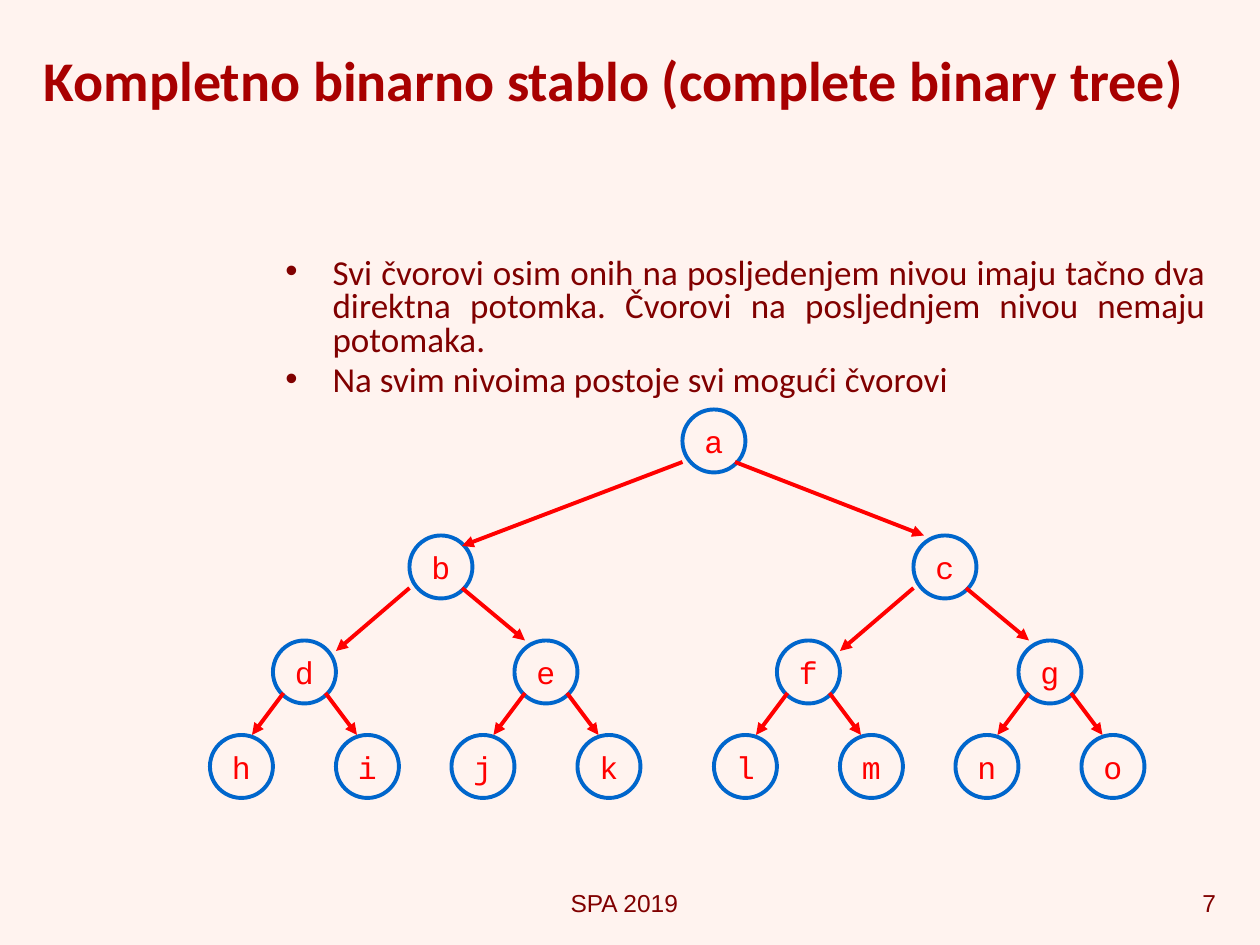
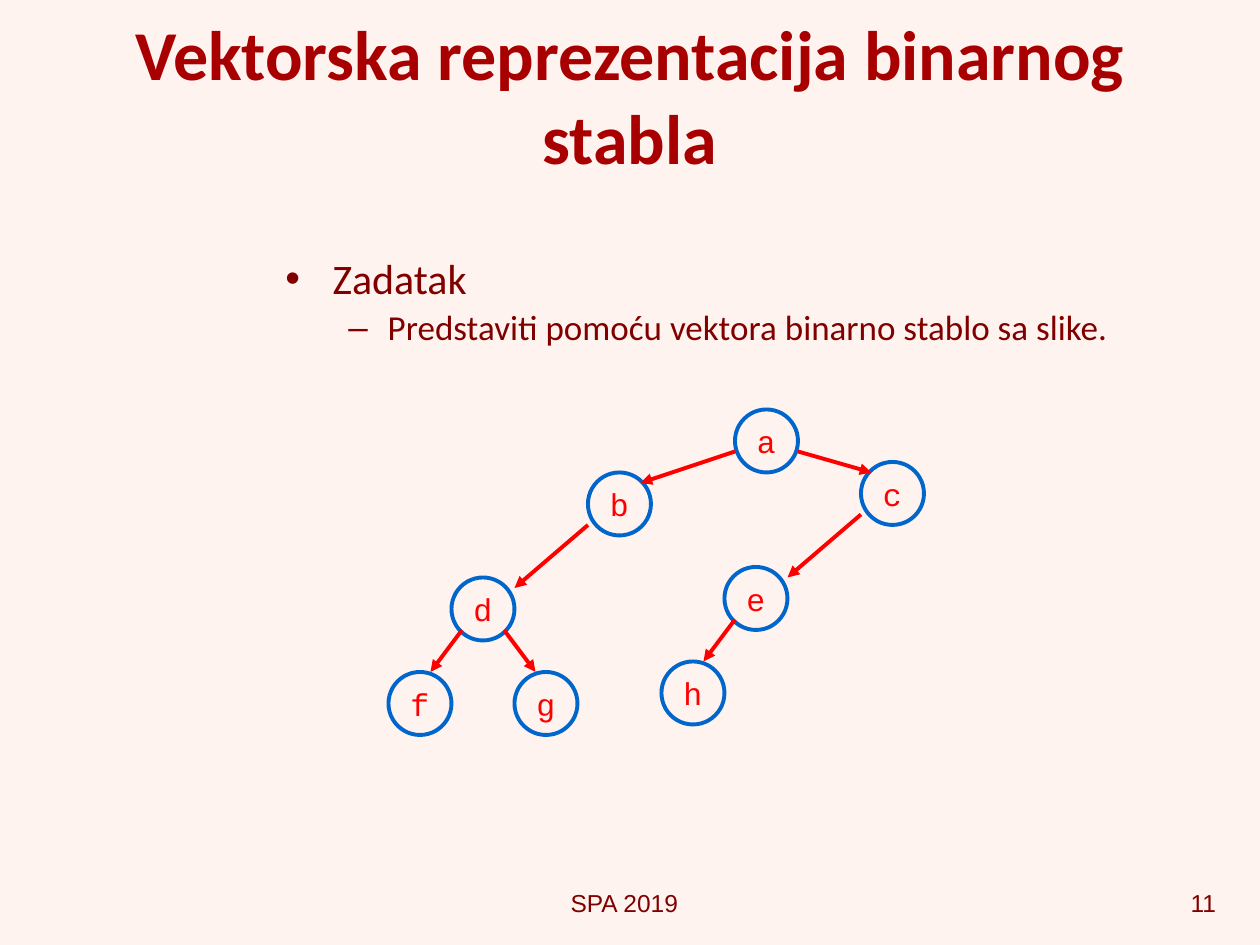
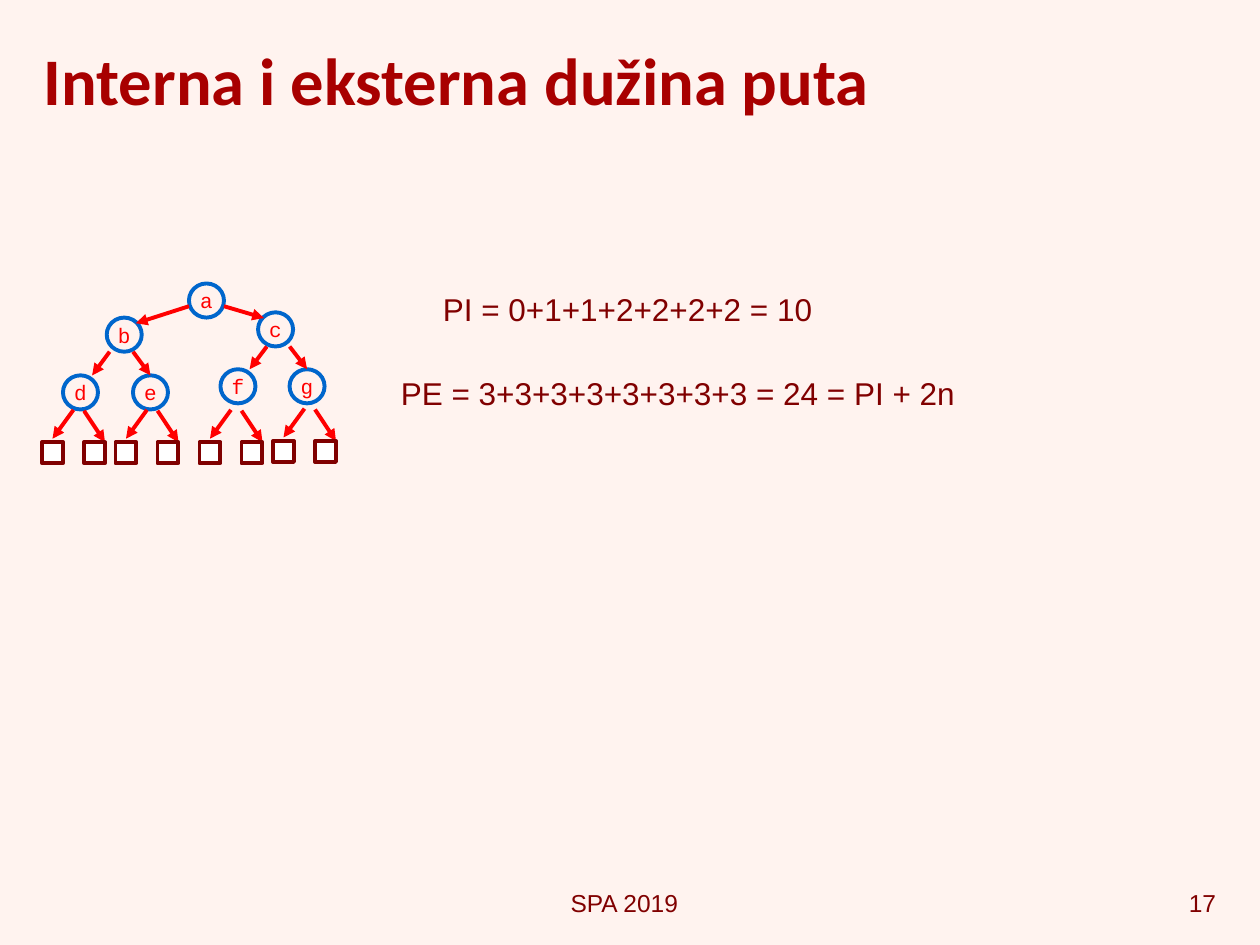
import pptx
import pptx.util
import pptx.dml.color
import pptx.enum.shapes
import pptx.enum.text
import pptx.oxml.ns
from lxml import etree

Pt = pptx.util.Pt
RGBColor = pptx.dml.color.RGBColor
Align = pptx.enum.text.PP_ALIGN
Anchor = pptx.enum.text.MSO_ANCHOR
AutoSize = pptx.enum.text.MSO_AUTO_SIZE
Preset = pptx.enum.shapes.MSO_SHAPE
Connector = pptx.enum.shapes.MSO_CONNECTOR
qn = pptx.oxml.ns.qn

CREAM = RGBColor(0xFF, 0xF3, 0xEF)
WHITE = RGBColor(0xFF, 0xFF, 0xFF)
CRIMSON = RGBColor(0xA8, 0x00, 0x00)
MAROON = RGBColor(0x80, 0x00, 0x00)
BLUE = RGBColor(0x00, 0x66, 0xCC)
RED = RGBColor(0xFF, 0x00, 0x00)

LINE_WIDTH = 2.25
GRID = 6  # points per step of the large trees

# Arrow start in the parent and end in the child, in sixths of a node
WIDE_LEFT = ((0, 5), (5, 1))
WIDE_RIGHT = ((5, 5), (1, 0))
MIDDLE_LEFT = ((0, 5), (6, 1))
LEAF_LEFT = ((1, 5), (4, 0))
LEAF_RIGHT = ((5, 5), (2, 0))
ROOT_LEFT = ((0, 4), (5, 1))
ROOT_RIGHT = ((6, 4), (1, 1))

# Bullet, left margin, hanging indent for each level
BULLETS = (("•", 27, -27), ("–", 58.5, -22.5))


class Lecture:
    """Holds the shared style and the slide being drawn."""

    def __init__(self):
        self.deck = pptx.Presentation()
        self.deck.slide_width = Pt(720)
        self.deck.slide_height = Pt(540)
        self.page = None

    def new_page(self, number, title, size, height=78, align=None):
        self.page = self.deck.slides.add_slide(self.deck.slide_layouts[6])
        self.page.background.fill.solid()
        self.page.background.fill.fore_color.rgb = CREAM
        self.text("SPA 2019", 269.3, 504, 175, 24, 14, align=Align.CENTER)
        self.text(str(number), 558, 504, 144, 24, 14, align=Align.RIGHT)
        frame = self.text(title, 18, 6, 684, height, size, "Calibri", CRIMSON, align)
        frame.vertical_anchor = Anchor.MIDDLE
        frame.paragraphs[0].font.bold = True

    def set_font(self, para, size, name="Arial", color=MAROON):
        para.font.size = Pt(size)
        para.font.name = name
        para.font.color.rgb = color

    def text(self, words, left, top, width, height, size,
             name="Arial", color=MAROON, align=None):
        box = self.page.shapes.add_textbox(Pt(left), Pt(top), Pt(width), Pt(height))
        frame = box.text_frame
        frame.word_wrap = True
        para = frame.paragraphs[0]
        para.text = words
        para.alignment = align
        self.set_font(para, size, name, color)
        return frame

    def formula(self, words, left, top, width):
        frame = self.text(words, left, top, width, 31, 18)
        frame.word_wrap = False
        frame.auto_size = AutoSize.SHAPE_TO_FIT_TEXT

    def bullets(self, items, height, spacing):
        """Items are (words, level, size, alignment)."""
        box = self.page.shapes.add_textbox(Pt(156), Pt(144), Pt(540), Pt(height))
        frame = box.text_frame
        frame.word_wrap = True
        for index, (words, level, size, align) in enumerate(items):
            para = frame.add_paragraph() if index else frame.paragraphs[0]
            para.text = words
            para.level = level
            para.alignment = align
            para.line_spacing = spacing
            if index:
                para.space_before = Pt(4)
            mark, margin, indent = BULLETS[level]
            properties = para._p.get_or_add_pPr()
            properties.set("marL", str(Pt(margin)))
            properties.set("indent", str(Pt(indent)))
            etree.SubElement(properties, qn("a:buFont")).set("typeface", "Arial")
            etree.SubElement(properties, qn("a:buChar")).set("char", mark)
            self.set_font(para, size, "Calibri")

    def shape(self, preset, left, top, width, height, fill, line):
        shape = self.page.shapes.add_shape(
            preset, Pt(left), Pt(top), Pt(width), Pt(height))
        shape.shadow.inherit = False
        shape.fill.solid()
        shape.fill.fore_color.rgb = fill
        shape.line.color.rgb = line
        shape.line.width = Pt(LINE_WIDTH)
        return shape

    def node(self, label, left, top, width, height, size):
        circle = self.shape(Preset.OVAL, left, top, width, height, CREAM, BLUE)
        frame = circle.text_frame
        frame.word_wrap = False
        frame.vertical_anchor = Anchor.MIDDLE
        para = frame.paragraphs[0]
        para.text = label
        para.alignment = Align.CENTER
        self.set_font(para, size, "Courier New", RED)

    def arrow(self, x1, y1, x2, y2):
        line = self.page.shapes.add_connector(
            Connector.STRAIGHT, Pt(x1), Pt(y1), Pt(x2), Pt(y2))
        line.line.color.rgb = RED
        line.line.width = Pt(LINE_WIDTH)
        etree.SubElement(line.line._get_or_add_ln(), qn("a:tailEnd")).set("type", "triangle")
        etree.SubElement(line._element.spPr, qn("a:effectLst"))

    def tree(self, nodes, edges, width=36, height=36, size=18, step=GRID):
        """Edges are (pairs of labels, arrow style); node places count steps."""
        for label, (column, row) in nodes.items():
            self.node(label, column * step, row * step, width, height, size)
        for pairs, (start, end) in edges:
            for pair in pairs.split():
                points = []
                for label, (across, down) in zip(pair, (start, end)):
                    column, row = nodes[label]
                    points += [column * step + across * width / 6,
                               row * step + down * height / 6]
                self.arrow(*points)

    def external_pair(self, left, top):
        """Two square external nodes with the arrows that lead to them."""
        self.arrow(left + 18, top - 18.5, left + 6, top - 2)
        self.arrow(left + 24, top - 18, left + 36, top)
        for square_left in (left, left + 24):
            self.shape(Preset.RECTANGLE, square_left, top, 12, 12, WHITE, MAROON)


def complete_tree(lecture):
    lecture.new_page(7, "Kompletno binarno stablo (complete binary tree)", 32)
    lecture.bullets([
        ("Svi čvorovi osim onih na posljedenjem nivou imaju tačno dva direktna "
         "potomka. Čvorovi na posljednjem nivou nemaju potomaka.", 0, 20, Align.JUSTIFY),
        ("Na svim nivoima postoje svi mogući čvorovi", 0, 20, None),
    ], 102, 0.8)
    # Each level: row and the columns of its nodes
    levels = (
        (39, {"a": 65}),
        (51, {"b": 39, "c": 87}),
        (61, {"d": 26, "e": 49, "f": 74, "g": 97}),
        (70, {"h": 20, "i": 32, "j": 43, "k": 55, "l": 68, "m": 80, "n": 91, "o": 103}),
    )
    nodes = {label: (column, row) for row, columns in levels
             for label, column in columns.items()}
    lecture.tree(nodes, [
        ("ab", WIDE_LEFT), ("ac be cg", WIDE_RIGHT), ("bd cf", MIDDLE_LEFT),
        ("dh ej fl gn", LEAF_LEFT), ("di ek fm go", LEAF_RIGHT),
    ])


def vector_task(lecture):
    lecture.new_page(11, "Vektorska reprezentacija binarnog stabla", 40, 96, Align.CENTER)
    lecture.bullets([
        ("Zadatak", 0, 24, None),
        ("Predstaviti pomoću vektora binarno stablo sa slike.", 1, 20, None),
    ], 78, 0.9)
    nodes = {"a": (70, 39), "b": (56, 45), "c": (82, 44), "d": (43, 55),
             "e": (69, 54), "f": (37, 64), "g": (49, 64), "h": (63, 63)}
    lecture.tree(nodes, [
        ("ab", ROOT_LEFT), ("ac", ROOT_RIGHT), ("bd ce", MIDDLE_LEFT),
        ("df eh", LEAF_LEFT), ("dg", LEAF_RIGHT),
    ])


def path_lengths(lecture):
    lecture.new_page(17, "Interna i eksterna dužina puta", 38)
    lecture.formula("PI = 0+1+1+2+2+2+2 = 10", 246, 162, 335)
    lecture.formula("PE = 3+3+3+3+3+3+3+3 = 24 = PI + 2n", 222, 210, 485)
    # Internal nodes, placed in points
    nodes = {"a": (108, 162), "b": (61, 181.5), "c": (147.5, 178.5), "d": (36, 214.5),
             "e": (76, 214.5), "f": (126, 211), "g": (165.5, 211)}
    lecture.tree(nodes, [
        ("ab", ROOT_LEFT), ("ac", ROOT_RIGHT),
        ("bd", ((0.5, 6), (5, 0))), ("be", ((4.5, 6), (3, 0))),
        ("cf", ((1.5, 6), (5, 0))), ("cg", ((5.4, 6), (3, 0))),
    ], 20, 19.5, 12, 1)
    # External nodes
    for left, top in ((24, 252.7), (66, 252.7), (114, 252.7), (156, 252)):
        lecture.external_pair(left, top)


def main():
    lecture = Lecture()
    complete_tree(lecture)
    vector_task(lecture)
    path_lengths(lecture)
    lecture.deck.save("out.pptx")


if __name__ == "__main__":
    main()
